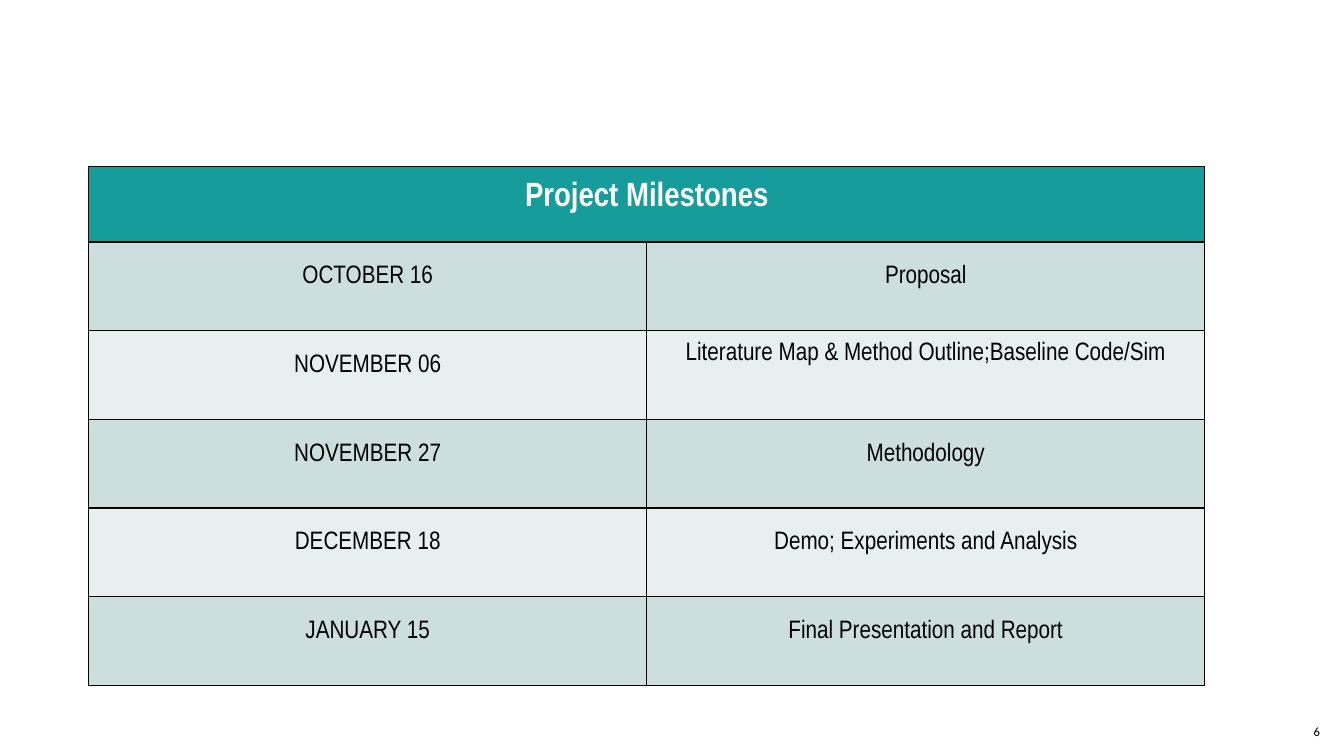
from lxml.etree import SubElement
from pptx import Presentation
from pptx.dml.color import RGBColor
from pptx.enum.text import MSO_ANCHOR, PP_ALIGN
from pptx.oxml.ns import qn
from pptx.util import Inches, Pt

HEADING = "Project Milestones"
MILESTONES = [
    ("OCTOBER 16", "Proposal"),
    ("NOVEMBER 06", "Literature Map & Method Outline;Baseline Code/Sim"),
    ("NOVEMBER 27", "Methodology"),
    ("DECEMBER 18", "Demo; Experiments and Analysis"),
    ("JANUARY 15", "Final Presentation and Report"),
]
SLIDE_NUMBER = "6"
TIGHT_CELL = (2, 1)

TEAL = RGBColor(0x16, 0x9C, 0x9A)
BANDS = [RGBColor(0xCC, 0xDE, 0xDE), RGBColor(0xE8, 0xEF, 0xEF)]
BLACK = RGBColor(0, 0, 0)
WHITE = RGBColor(0xFF, 0xFF, 0xFF)

LEFT, TOP, WIDTH = 0.88, 1.65, 11.07
HEADER_HEIGHT, ROW_HEIGHT = 0.75, 0.88


def format_paragraph(paragraph, font_name, size, color, alignment, bold=False):
    paragraph.alignment = alignment
    font = paragraph.runs[0].font
    font.name, font.size, font.bold = font_name, Pt(size), bold
    font.color.rgb = color


def add_borders(cell):
    properties = cell._tc.get_or_add_tcPr()
    for position, side in enumerate(("lnL", "lnR", "lnT", "lnB")):
        line = properties.makeelement(qn(f"a:{side}"), {"w": str(Pt(1))})
        fill = SubElement(line, qn("a:solidFill"))
        SubElement(fill, qn("a:srgbClr"), val=str(BLACK))
        properties.insert(position, line)


def fill_cell(cell, text, fill, size, color, spacing, bold=False):
    cell.fill.solid()
    cell.fill.fore_color.rgb = fill
    cell.margin_top = cell.margin_bottom = 0
    cell.text_frame.text = text
    paragraph = cell.text_frame.paragraphs[0]
    paragraph.line_spacing = spacing
    format_paragraph(paragraph, "Arial Narrow", size, color, PP_ALIGN.CENTER, bold)


def add_milestone_table(slide):
    height = HEADER_HEIGHT + ROW_HEIGHT * len(MILESTONES)
    frame = slide.shapes.add_table(
        len(MILESTONES) + 1, 2,
        Inches(LEFT), Inches(TOP), Inches(WIDTH), Inches(height))
    table = frame.table
    for row in table.rows:
        row.height = Inches(ROW_HEIGHT)
    table.rows[0].height = Inches(HEADER_HEIGHT)

    header = table.cell(0, 0)
    header.merge(table.cell(0, 1))
    fill_cell(header, HEADING, TEAL, 24, WHITE, 1.5, True)
    for row, texts in enumerate(MILESTONES, 1):
        for column, text in enumerate(texts):
            spacing = 1.5 if (row, column) == TIGHT_CELL else 2.0
            fill_cell(table.cell(row, column), text, BANDS[(row - 1) % 2],
                      18, BLACK, spacing)
    for cell in table.iter_cells():
        add_borders(cell)


def add_slide_number(slide):
    box = slide.shapes.add_textbox(
        Inches(12.72), Inches(7.06), Inches(0.47), Inches(0.4))
    frame = box.text_frame
    frame.word_wrap = True
    frame.vertical_anchor = MSO_ANCHOR.MIDDLE
    frame.text = SLIDE_NUMBER
    format_paragraph(frame.paragraphs[0], "Calibri", 9, BLACK, PP_ALIGN.RIGHT)


def main():
    presentation = Presentation()
    presentation.slide_width = Inches(13.33)
    presentation.slide_height = Inches(7.5)
    slide = presentation.slides.add_slide(presentation.slide_layouts[6])
    add_slide_number(slide)
    add_milestone_table(slide)
    presentation.save("out.pptx")


if __name__ == "__main__":
    main()
